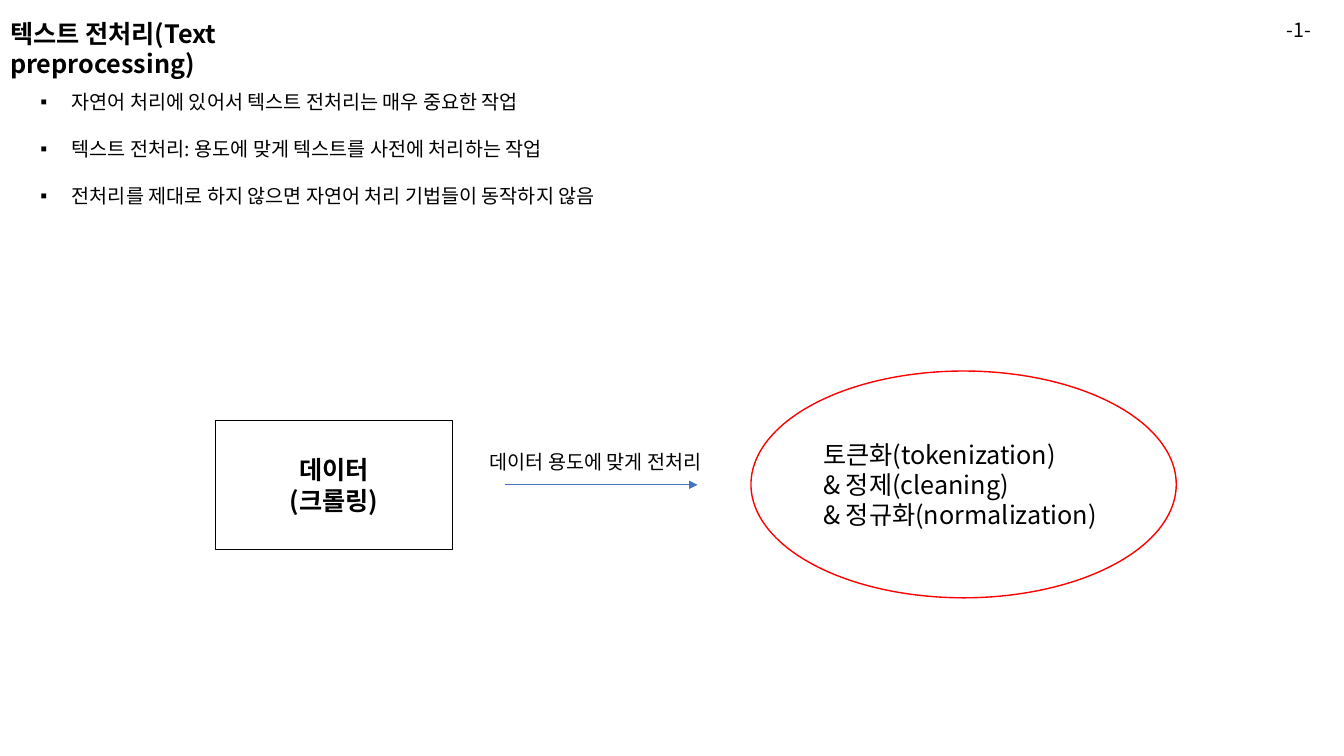
"""Build the text preprocessing slide."""
from dataclasses import dataclass

from lxml.etree import SubElement
from pptx import Presentation
from pptx.dml.color import RGBColor
from pptx.enum.shapes import MSO_CONNECTOR as Link, MSO_SHAPE as Geo
from pptx.enum.text import MSO_ANCHOR as Anchor, MSO_AUTO_SIZE as Fit, PP_ALIGN as Align
from pptx.oxml.ns import qn
from pptx.shapes.base import BaseShape
from pptx.slide import Slide
from pptx.util import Pt

BLACK = RGBColor(0x00, 0x00, 0x00)
RED = RGBColor(0xFF, 0x00, 0x00)
BLUE = RGBColor(0x44, 0x72, 0xC4)
FACE = "Noto Sans CJK KR"


@dataclass(frozen=True)
class Box:
    left: float
    top: float
    width: float
    height: float


@dataclass(frozen=True)
class Text:
    lines: tuple[str, ...]
    size: float = 14
    bold: bool = False
    align: Align = Align.LEFT
    anchor: Anchor = Anchor.TOP
    bullet: str = ""
    gap: float = 0


@dataclass(frozen=True)
class Node:
    kind: Geo
    box: Box
    color: RGBColor
    text: Text


@dataclass(frozen=True)
class Label:
    box: Box
    text: Text


TITLE = Label(Box(0, 9.4, 289.4, 28.8), Text(("텍스트 전처리(Text preprocessing)",), 18, True))
POINTS = Label(
    Box(21.6, 60.5, 458.6, 92.2),
    Text(
        (
            "자연어 처리에 있어서 텍스트 전처리는 매우 중요한 작업",
            "텍스트 전처리: 용도에 맞게 텍스트를 사전에 처리하는 작업",
            "전처리를 제대로 하지 않으면 자연어 처리 기법들이 동작하지 않음",
        ),
        bullet="▪",
        gap=16.8,
    ),
)
LABELS = (
    Label(Box(342.7, 317.5, 234.7, 24.5), Text(("데이터 용도에 맞게 전처리",))),
    Label(Box(912.2, 9.4, 36.7, 24.5), Text(("-1-",))),
)
NODES = (
    Node(
        Geo.RECTANGLE, Box(154.1, 300.2, 169.2, 92.2), BLACK,
        Text(("데이터", "(크롤링)"), 18, True, Align.CENTER, Anchor.MIDDLE),
    ),
    Node(
        Geo.OVAL, Box(536.4, 265, 303.8, 162), RED,
        Text(
            ("토큰화(tokenization)", "& 정제(cleaning)", "& 정규화(normalization)"),
            18, anchor=Anchor.MIDDLE,
        ),
    ),
)


def place(shape: BaseShape, box: Box) -> None:
    shape.left, shape.top = Pt(box.left), Pt(box.top)
    shape.width, shape.height = Pt(box.width), Pt(box.height)


def write(shape: BaseShape, text: Text) -> None:
    frame = shape.text_frame
    frame.word_wrap = True
    frame.auto_size = Fit.NONE
    frame.vertical_anchor = text.anchor
    for i, line in enumerate(text.lines):
        para = frame.add_paragraph() if i else frame.paragraphs[0]
        para.alignment = text.align
        para.space_before = Pt(text.gap if i else 0)
        if text.bullet:
            props = para._p.get_or_add_pPr()
            props.set("marL", str(Pt(22.5)))
            props.set("indent", str(-Pt(22.5)))
            SubElement(props, qn("a:buChar"), char=text.bullet)
        run = para.add_run()
        run.text = line
        font = run.font
        font.name, font.size, font.bold = FACE, Pt(text.size), text.bold
        font.color.rgb = BLACK
        SubElement(run._r.get_or_add_rPr(), qn("a:ea"), typeface=FACE)


def add_node(slide: Slide, node: Node) -> None:
    box = node.box
    shape = slide.shapes.add_shape(
        node.kind, Pt(box.left), Pt(box.top), Pt(box.width), Pt(box.height)
    )
    shape.shadow.inherit = False
    shape.fill.background()
    shape.line.color.rgb = node.color
    shape.line.width = Pt(1)
    write(shape, node.text)


def add_label(slide: Slide, label: Label) -> None:
    box = label.box
    shape = slide.shapes.add_textbox(
        Pt(box.left), Pt(box.top), Pt(box.width), Pt(box.height)
    )
    write(shape, label.text)


def add_arrow(slide: Slide, start: float, end: float, mid: float) -> None:
    arrow = slide.shapes.add_connector(
        Link.STRAIGHT, Pt(start), Pt(mid), Pt(end), Pt(mid)
    )
    arrow.line.color.rgb = BLUE
    arrow.line.width = Pt(0.5)
    SubElement(arrow.line._get_or_add_ln(), qn("a:tailEnd"), type="triangle")
    SubElement(arrow._element.spPr, qn("a:effectLst"))


def main() -> None:
    deck = Presentation()
    deck.slide_width, deck.slide_height = Pt(960), Pt(540)
    slide = deck.slides.add_slide(deck.slide_layouts[1])
    for holder, label in zip(slide.placeholders, (TITLE, POINTS)):
        place(holder, label.box)
        write(holder, label.text)
    for node in NODES:
        add_node(slide, node)
    add_arrow(slide, 360.7, 498.2, 346.3)
    for label in LABELS:
        add_label(slide, label)
    deck.save("out.pptx")


if __name__ == "__main__":
    main()
